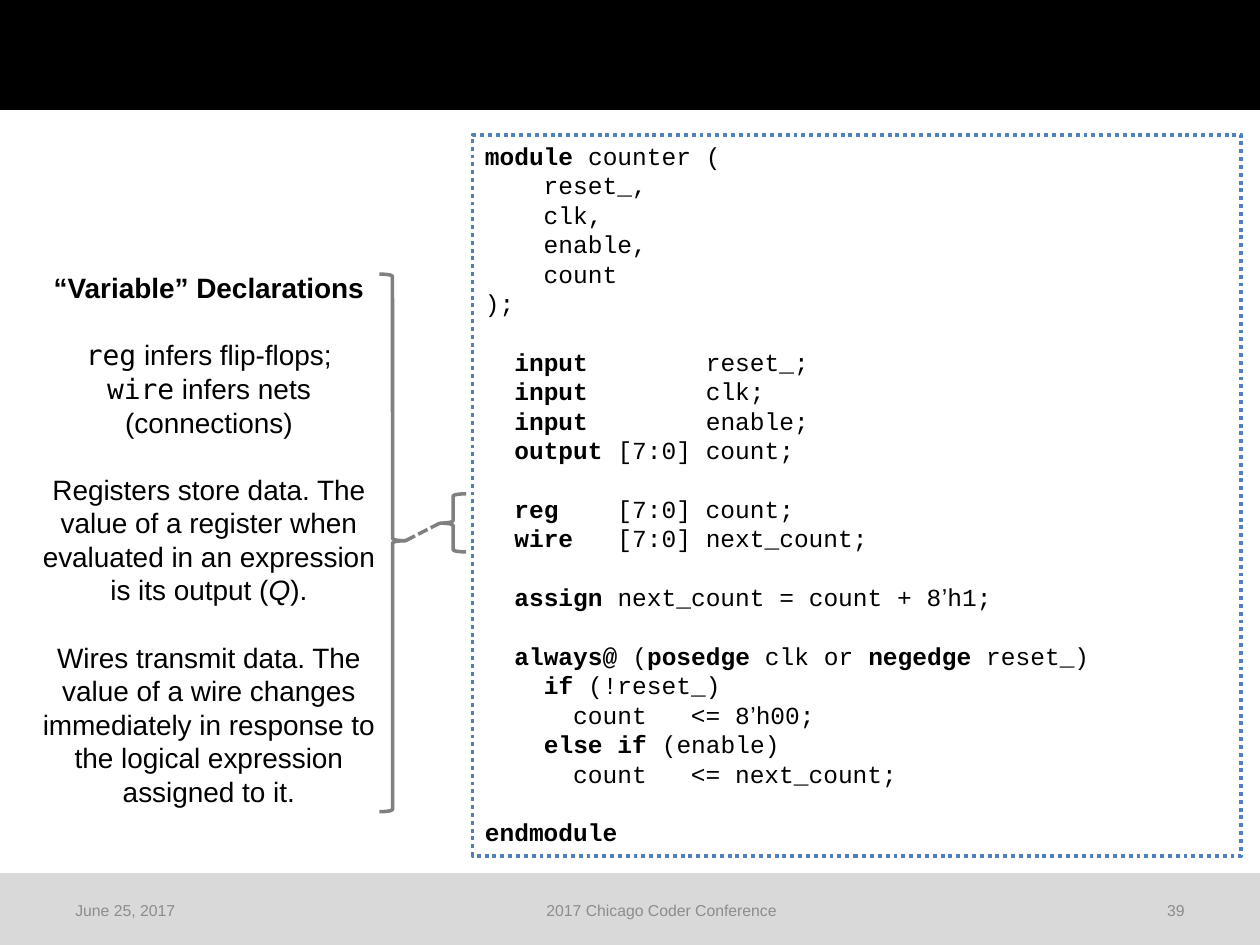
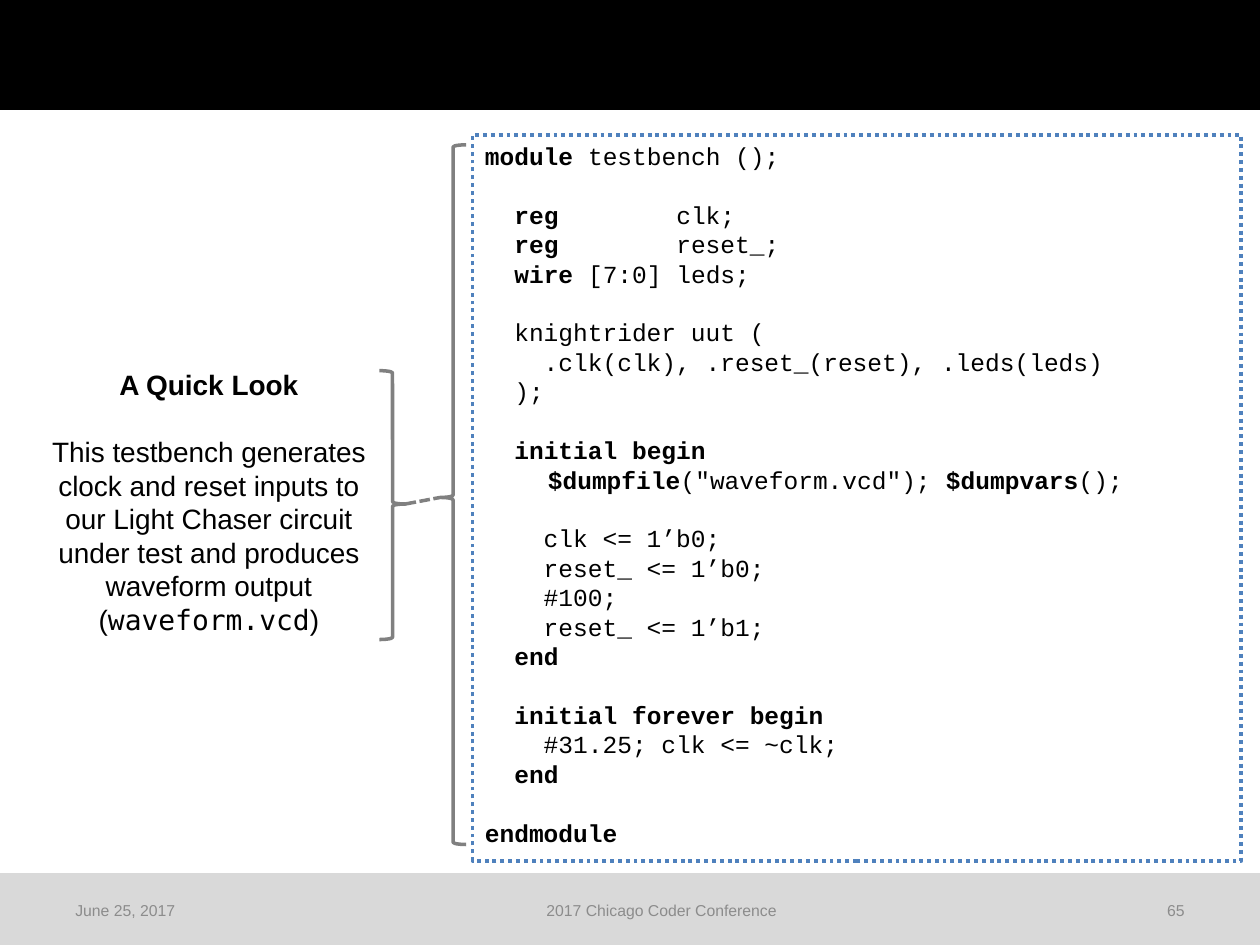
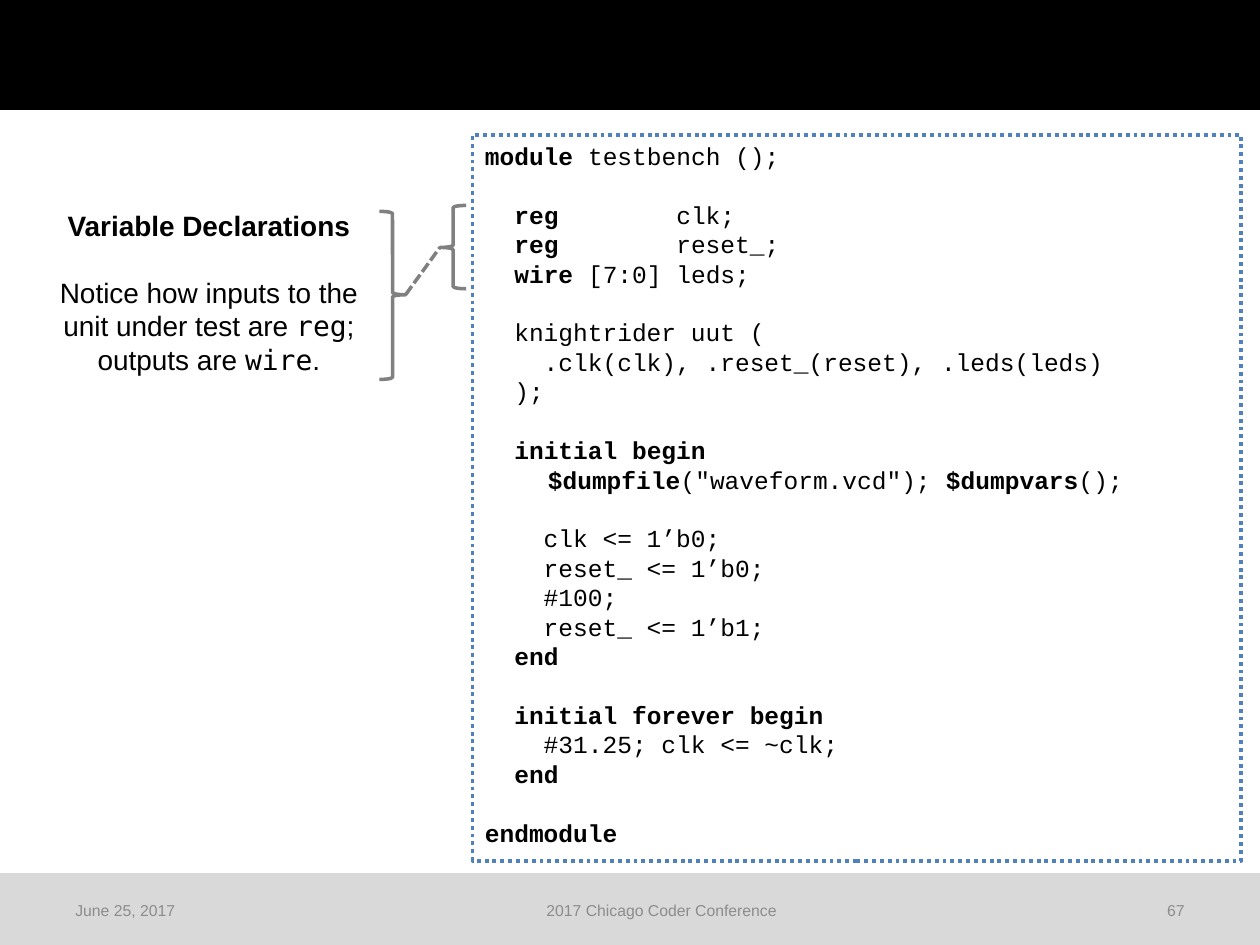
from pptx import Presentation
from pptx.dml.color import RGBColor
from pptx.enum.dml import MSO_LINE_DASH_STYLE as Dash
from pptx.enum.shapes import MSO_CONNECTOR as Connector, MSO_SHAPE as Shape
from pptx.enum.text import MSO_ANCHOR as Anchor, PP_ALIGN as Align
from pptx.oxml.ns import qn
from pptx.util import Pt
from lxml import etree

# Colours and fonts
BLACK = RGBColor(0x00, 0x00, 0x00)
BAND_GREY = RGBColor(0xD9, 0xD9, 0xD9)
FOOTER_GREY = RGBColor(0x8C, 0x8C, 0x8C)
BRACE_GREY = RGBColor(0x80, 0x80, 0x80)
FRAME_BLUE = RGBColor(0x4F, 0x81, 0xBD)
SANS, CODE, MONO = "Arial", "Courier New", "DejaVu Sans Mono"

# Layout, in points
WIDTH, HEIGHT = 720, 540
BRACE_WIDTH = 15
NOTE_BRACE_LEFT, CODE_BRACE_LEFT = 216.8, 251.4
NOTE_LINE = 19.2
BRACE_CURVE, BRACE_TIP = 0.083, 0.504


def write(frame, text, font=SANS, alt_font=MONO, size=16, color=BLACK,
          align=Align.LEFT, anchor=Anchor.TOP, pitch=None):
    """Fill a frame; *bold*, `alt_font`, ^italic^; an empty line becomes a gap."""
    frame.word_wrap = True
    frame.vertical_anchor = anchor
    paragraph, gap = None, 0
    for line in text.split("\n"):
        if not line:
            gap += pitch
            continue
        paragraph = frame.add_paragraph() if paragraph else frame.paragraphs[0]
        paragraph.alignment = align
        if pitch:
            paragraph.line_spacing = Pt(pitch)
        if gap:
            paragraph.space_before = Pt(gap)
            gap = 0
        if "\t" in line:
            paragraph._p.get_or_add_pPr().set("defTabSz", str(Pt(36)))
        for b, bold_part in enumerate(line.split("*")):
            for f, font_part in enumerate(bold_part.split("`")):
                for i, piece in enumerate(font_part.split("^")):
                    if piece:
                        run = paragraph.add_run()
                        run.text = piece
                        run.font.name = alt_font if f % 2 else font
                        run.font.size = Pt(size)
                        run.font.color.rgb = color
                        run.font.bold = b % 2 == 1
                        run.font.italic = i % 2 == 1


class Deck:
    def __init__(self):
        self.presentation = Presentation()
        self.presentation.slide_width = Pt(WIDTH)
        self.presentation.slide_height = Pt(HEIGHT)
        self.slide = None

    def new_slide(self, number):
        layout = self.presentation.slide_layouts[6]
        self.slide = self.presentation.slides.add_slide(layout)
        self.band(499, HEIGHT - 499, BAND_GREY)
        self.band(0, 62.8, BLACK)
        for label, left, width, align in (
                ("June 25, 2017", 36, 88, Align.LEFT),
                ("2017 Chicago Coder Conference", 124, 508, Align.CENTER),
                (str(number), 632, 52, Align.RIGHT)):
            self.text(label, left, 505.6, width, 28.8, size=9,
                      color=FOOTER_GREY, align=align, anchor=Anchor.MIDDLE)

    def shape(self, kind, left, top, width, height):
        shape = self.slide.shapes.add_shape(
            kind, Pt(left), Pt(top), Pt(width), Pt(height))
        shape.shadow.inherit = False
        return shape

    def band(self, top, height, color):
        band = self.shape(Shape.RECTANGLE, 0, top, WIDTH, height)
        band.fill.solid()
        band.fill.fore_color.rgb = color
        band.line.fill.background()

    def text(self, text, left, top, width, height, **style):
        box = self.slide.shapes.add_textbox(
            Pt(left), Pt(top), Pt(width), Pt(height))
        write(box.text_frame, text, **style)

    def stroke(self, line, color=BRACE_GREY, width=2, dash=None):
        line.color.rgb = color
        line.width = Pt(width)
        if dash:
            line.dash_style = dash

    def code(self, listing, height):
        frame = self.shape(Shape.RECTANGLE, 270, 77, 439.4, height)
        frame.fill.background()
        self.stroke(frame.line, FRAME_BLUE, 2.25, Dash.ROUND_DOT)
        write(frame.text_frame, listing, font=CODE, alt_font=SANS, size=14,
              pitch=16.8)

    def brace(self, left, top, height, rotation=0):
        brace = self.shape(Shape.LEFT_BRACE, left, top, BRACE_WIDTH, height)
        brace.adjustments[0] = BRACE_CURVE
        brace.adjustments[1] = BRACE_TIP
        brace.rotation = rotation
        brace.fill.background()
        self.stroke(brace.line)

    def dashed_link(self, start_y, end_y):
        link = self.slide.shapes.add_connector(
            Connector.STRAIGHT, Pt(NOTE_BRACE_LEFT + BRACE_WIDTH), Pt(start_y),
            Pt(CODE_BRACE_LEFT), Pt(end_y))
        self.stroke(link.line, dash=Dash.SQUARE_DOT)
        etree.SubElement(link._element.spPr, qn("a:effectLst"))

    def note(self, text, top, lines, code_top, code_height):
        """Explain the code lines that the right-hand brace spans."""
        self.text(text, 15, top, 208.8, 19.4 * lines + 7.2,
                  align=Align.CENTER, pitch=NOTE_LINE)
        brace_top, brace_height = top + 5.4, NOTE_LINE * lines
        self.brace(NOTE_BRACE_LEFT, brace_top, brace_height, rotation=180)
        self.brace(CODE_BRACE_LEFT, code_top, code_height)
        self.dashed_link(brace_top + (1 - BRACE_TIP) * brace_height,
                         code_top + BRACE_TIP * code_height)


COUNTER = """*module* counter (
    reset_,
    clk,
    enable,
    count
);

  *input*        reset_;
  *input*        clk;
  *input*        enable;
  *output* [7:0] count;

  *reg*    [7:0] count;
  *wire*   [7:0] next_count;

  *assign* next_count = count + 8`’`h1;

  *always@* (*posedge* clk or *negedge* reset_)
    *if* (!reset_)
      count   <= 8`’`h00;
    *else if* (enable)
      count   <= next_count;

*endmodule*"""

TESTBENCH = """*module* testbench ();

  *reg*        clk;
  *reg*        reset_;
  *wire* [7:0] leds;

  knightrider uut (
    .clk(clk), .reset_(reset), .leds(leds)
  );

  *initial begin*
\t*$dumpfile*("waveform.vcd"); *$dumpvars*();

    clk <= 1’b0;
    reset_ <= 1’b0;
    #100;
    reset_ <= 1’b1;
  *end*

  *initial forever begin*
    #31.25; clk <= ~clk;
  *end*

*endmodule*"""

COUNTER_NOTE = """*“Variable” Declarations*

`reg` infers flip-flops;
`wire` infers nets (connections)

Registers store data. The value of a register when evaluated in an expression is its output (^Q^).

Wires transmit data. The value of a wire changes immediately in response to the logical expression assigned to it."""

OVERVIEW_NOTE = """*A Quick Look*

This testbench generates clock and reset inputs to our Light Chaser circuit under test and produces waveform output (`waveform.vcd`)"""

VARIABLES_NOTE = """*Variable Declarations*

Notice how inputs to the unit under test are `reg`; outputs are `wire`."""


def main():
    deck = Deck()

    # Counter: registers and wires
    deck.new_slide(39)
    deck.code(COUNTER, 412)
    deck.note(COUNTER_NOTE, 151.2, 16, code_top=282.2, code_height=33.2)

    # Testbench: the whole module, then its variables
    for number, note, top, lines, code_top, code_height in (
            (65, OVERVIEW_NOTE, 206.4, 8, 82.8, 399.8),
            (67, VARIABLES_NOTE, 115.4, 5, 117.4, 47.6)):
        deck.new_slide(number)
        deck.code(TESTBENCH, 414.8)
        deck.note(note, top, lines, code_top, code_height)

    deck.presentation.save("out.pptx")


if __name__ == "__main__":
    main()
